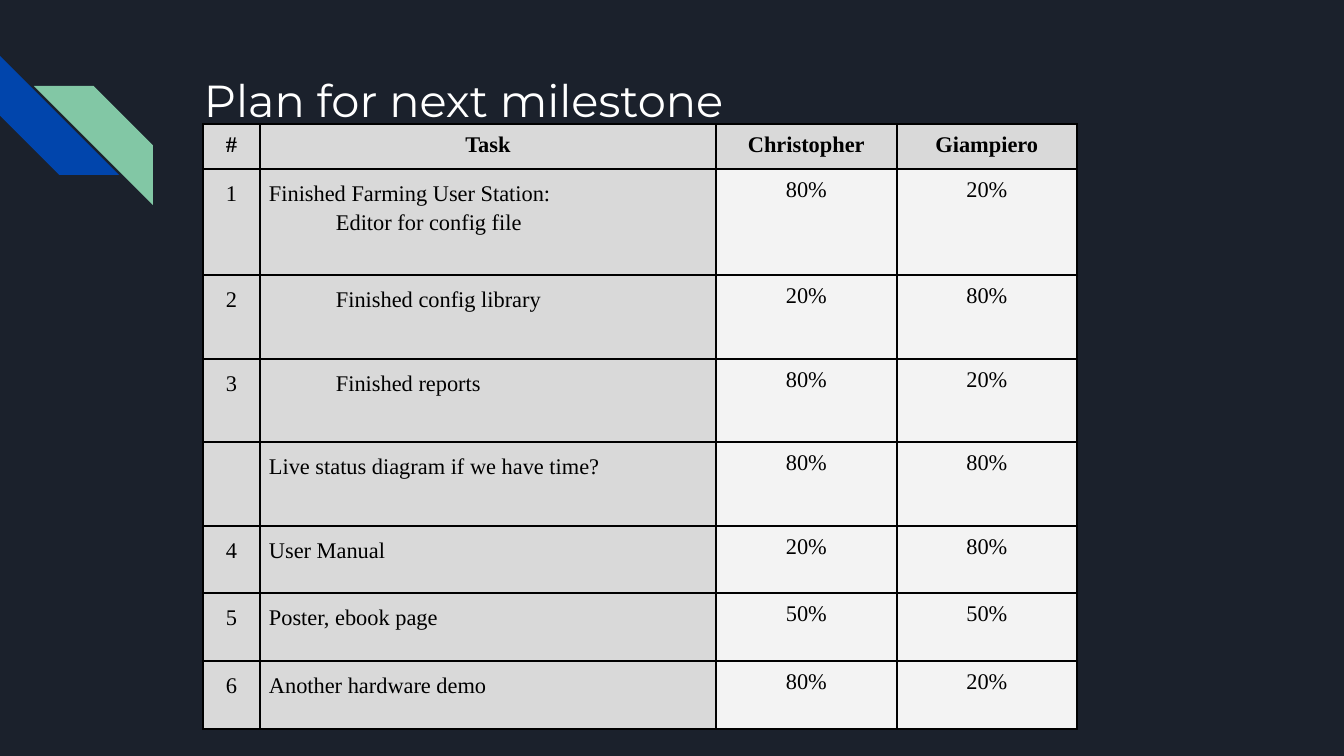
from lxml.etree import SubElement
from pptx import Presentation
from pptx.dml.color import RGBColor
from pptx.enum.shapes import MSO_SHAPE
from pptx.enum.text import PP_ALIGN
from pptx.oxml.ns import qn
from pptx.util import Pt

PX = 9144000 / 1344
SERIF = "Times New Roman"


def px(n):
    return round(n * PX)


def color(value):
    return RGBColor.from_string(value)


class Deck:
    title_font, title_size = "Montserrat", 24
    cell_font, cell_size, inset = SERIF, 12, 9
    back, white, ink = "1B212C", "FFFFFF", "000000"
    label_fill, share_fill = "D9D9D9", "F3F3F3"

    def __init__(self, prs):
        self.s = prs.slides.add_slide(prs.slide_layouts[6])
        fill = self.s.background.fill
        fill.solid()
        fill.fore_color.rgb = color(self.back)

    def stripe(self, x, y, size, fill, rotation=0, flip=False):
        sp = self.s.shapes.add_shape(
            MSO_SHAPE.DIAGONAL_STRIPE, px(x), px(y), px(size), px(size))
        sp.shadow.inherit = False
        sp.rotation = rotation
        sp.fill.solid()
        sp.fill.fore_color.rgb = color(fill)
        sp.line.fill.background()
        if flip:
            sp._element.spPr.xfrm.set("flipH", "1")

    def title(self, x, y, w, h, text):
        tf = self.s.shapes.add_textbox(px(x), px(y), px(w), px(h)).text_frame
        tf.word_wrap = True
        tf.margin_left = tf.margin_right = tf.margin_top = tf.margin_bottom = px(13)
        p = tf.paragraphs[0]
        p.text = text
        self.font(p, self.title_font, self.title_size, self.white)

    def font(self, p, name, size, fill, bold=False):
        f = p.font
        f.name, f.size, f.bold = name, Pt(size), bold
        f.color.rgb = color(fill)

    def borders(self, cell):
        tcPr = cell._tc.get_or_add_tcPr()
        for side in ("lnL", "lnR", "lnT", "lnB"):
            ln = SubElement(tcPr, qn(f"a:{side}"), w=str(Pt(1)))
            SubElement(SubElement(ln, qn("a:solidFill")), qn("a:srgbClr"), val=self.ink)

    def cell(self, cell, text, fill, centered, bold, spacing):
        """A line of text that starts with a tab is indented by half an inch."""
        self.borders(cell)
        cell.fill.solid()
        cell.fill.fore_color.rgb = color(fill)
        cell.margin_left = cell.margin_right = px(self.inset)
        cell.margin_top = cell.margin_bottom = px(self.inset)
        tf = cell.text_frame
        for i, line in enumerate(text.split("\n")):
            p = tf.add_paragraph() if i else tf.paragraphs[0]
            p.text = line.strip()
            p.line_spacing = spacing
            p.alignment = PP_ALIGN.CENTER if centered else PP_ALIGN.LEFT
            if line.startswith("\t"):
                p._p.get_or_add_pPr().set("marL", str(px(67)))
            self.font(p, self.cell_font, self.cell_size, self.ink, bold)

    def table(self, x, y, widths, heights, rows):
        table = self.s.shapes.add_table(
            len(rows), len(widths), px(x), px(y),
            px(sum(widths)), px(sum(heights))).table
        table.first_row = table.horz_banding = False
        for column, w in zip(table.columns, widths):
            column.width = px(w)
        for r, (row, h) in enumerate(zip(rows, heights)):
            table.rows[r].height = px(h)
            for c, text in enumerate(row):
                header, share = r == 0, c > 1
                self.cell(
                    table.cell(r, c), text,
                    fill=self.share_fill if share and not header else self.label_fill,
                    centered=header or c != 1,
                    bold=header,
                    spacing=1.0 if header or share else 1.15)


def main():
    prs = Presentation()
    prs.slide_width, prs.slide_height = px(1344), px(756)
    deck = Deck(prs)

    # Corner decoration
    deck.stripe(0, 56, 119, "0145AC", rotation=270)
    deck.stripe(34, 86, 119, "82C7A5", flip=True)

    # Title
    deck.title(191, 60, 1035, 134, "Plan for next milestone")

    # Tasks and each person's share
    deck.table(
        203, 124,
        widths=[57, 456, 181, 180],
        heights=[43, 106, 84, 83, 84, 67, 68, 68],
        rows=[
            ("#", "Task", "Christopher", "Giampiero"),
            ("1", "Finished Farming User Station:\n\tEditor for config file", "80%", "20%"),
            ("2", "\tFinished config library", "20%", "80%"),
            ("3", "\tFinished reports", "80%", "20%"),
            ("", "Live status diagram if we have time?", "80%", "80%"),
            ("4", "User Manual", "20%", "80%"),
            ("5", "Poster, ebook page", "50%", "50%"),
            ("6", "Another hardware demo", "80%", "20%"),
        ])

    prs.save("out.pptx")


if __name__ == "__main__":
    main()
